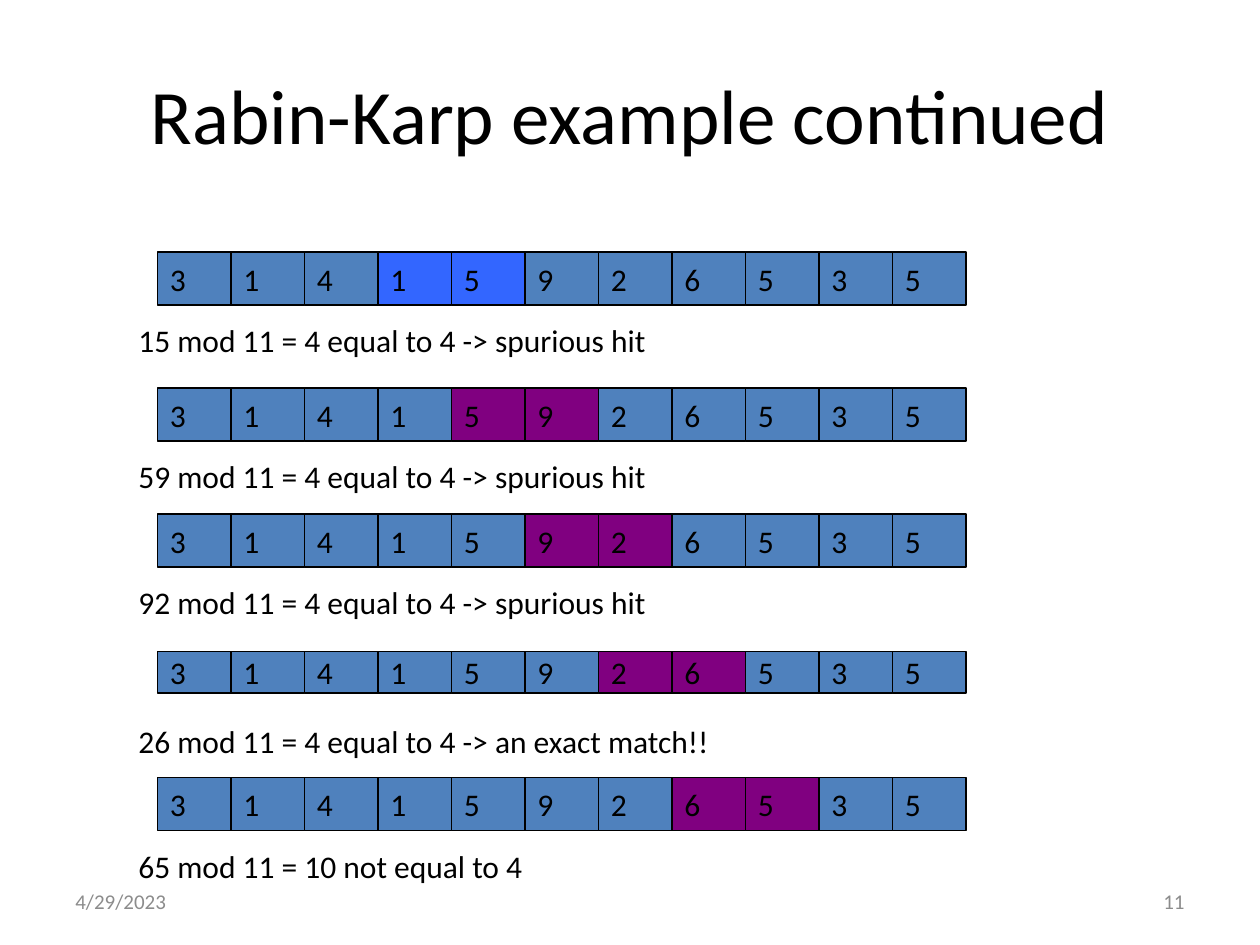
"""Build a slide that steps a Rabin-Karp window along a row of digits."""
from pptx import Presentation
from pptx import util as u
from pptx.dml.color import RGBColor
from pptx.enum import shapes, text

BLACK, GREY = "000000", "8C8C8C"
STEEL, BLUE, PURPLE = "4F81BD", "3366FF", "800080"
LEFT, CENTER, RIGHT = text.PP_ALIGN.LEFT, text.PP_ALIGN.CENTER, text.PP_ALIGN.RIGHT
TOP, MIDDLE = text.MSO_ANCHOR.TOP, text.MSO_ANCHOR.MIDDLE
DIGITS = "31415926535"
CELL_WIDTH = 7 / 12


def color(value):
    return RGBColor.from_string(value)


def write(box, words, size=18, ink=BLACK, align=LEFT, anchor=MIDDLE, wrap=True):
    frame = box.text_frame
    frame.text = words
    frame.word_wrap = wrap
    frame.vertical_anchor = anchor
    para = frame.paragraphs[0]
    para.alignment = align
    span = para.runs[0]
    span.font.name = "Calibri"
    span.font.size = u.Pt(size)
    span.font.color.rgb = color(ink)


deck = Presentation()
deck.slide_width, deck.slide_height = u.Inches(10), u.Inches(7.5)
page = deck.slides.add_slide(deck.slide_layouts[6])

title = page.shapes.add_textbox(u.Inches(0.5), u.Inches(0.28), u.Inches(9), u.Inches(1.25))
write(title, "Rabin-Karp example continued", size=44, align=CENTER)

steps = [
    (2, 0.42, 2.5, BLUE, "15 mod 11 = 4 equal to 4 -> spurious hit"),
    (3.08, 0.42, 3.58, PURPLE, "59 mod 11 = 4 equal to 4 -> spurious hit"),
    (4.08, 0.42, 4.58, PURPLE, "92 mod 11 = 4 equal to 4 -> spurious hit"),
    (5.17, 0.33, 5.68, PURPLE, "26 mod 11 = 4 equal to 4 -> an exact match!!"),
    (6.17, 0.42, 6.67, PURPLE, "65 mod 11 = 10 not equal to 4"),
]
for start, (top, height, caption_top, highlight, words) in enumerate(steps, 3):
    for column, digit in enumerate(DIGITS):
        cell = page.shapes.add_shape(
            shapes.MSO_SHAPE.RECTANGLE,
            u.Inches(1.25 + column * CELL_WIDTH), u.Inches(top),
            u.Inches(CELL_WIDTH), u.Inches(height))
        cell.shadow.inherit = False
        cell.fill.solid()
        cell.fill.fore_color.rgb = color(highlight if column in (start, start + 1) else STEEL)
        cell.line.color.rgb = color(BLACK)
        cell.line.width = u.Pt(0.75)
        write(cell, digit, wrap=False)
    caption = page.shapes.add_textbox(
        u.Inches(1), u.Inches(caption_top), u.Inches(6.47), u.Inches(0.5))
    write(caption, words, anchor=TOP)

for left, words, align in [(0.5, "4/29/2023", LEFT), (7.17, "11", RIGHT)]:
    footer = page.shapes.add_textbox(
        u.Inches(left), u.Inches(6.95), u.Inches(2.33), u.Inches(0.4))
    write(footer, words, size=12, ink=GREY, align=align)

deck.save("out.pptx")
